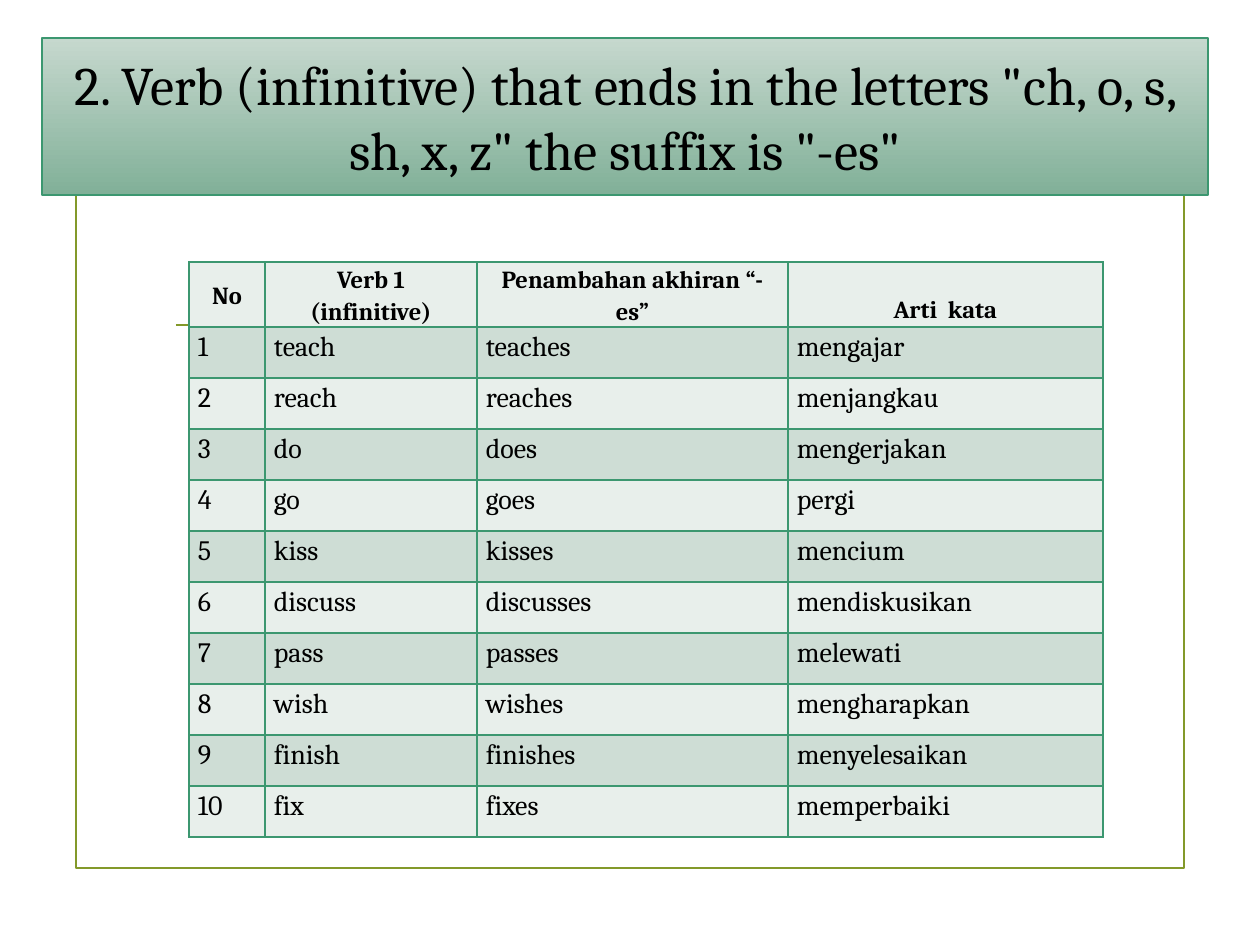
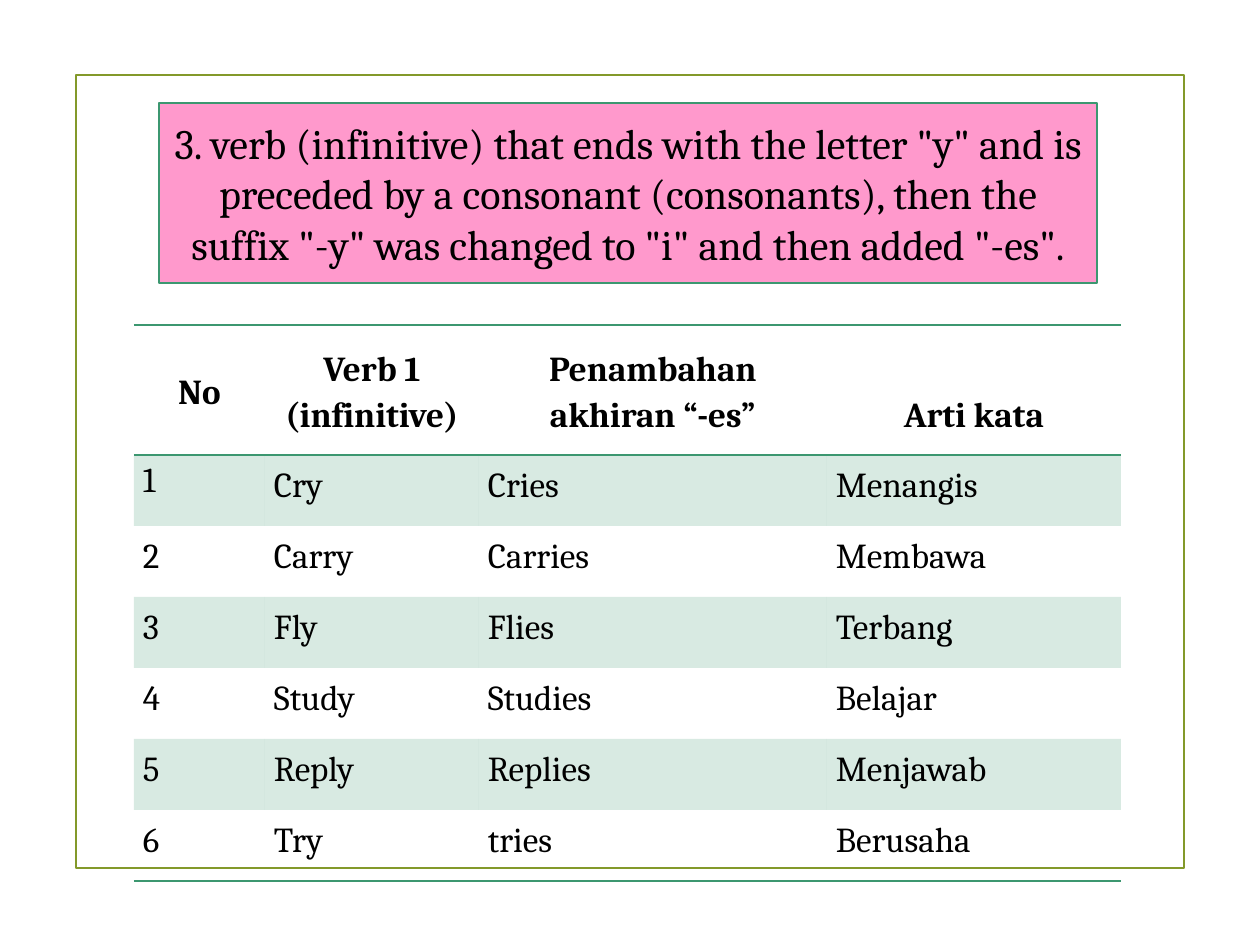
from lxml.etree import SubElement
from pptx import Presentation
from pptx.dml.color import RGBColor
from pptx.enum.shapes import MSO_CONNECTOR as CONN, MSO_SHAPE as SHAPE
from pptx.enum.text import MSO_ANCHOR as ANCHOR, PP_ALIGN as ALIGN
from pptx.oxml.ns import qn
from pptx.util import Pt

PX = 914400 // 126
FONT = "Cambria"
BLACK, OLIVE, GREEN, PINK = "000000", "83992A", "3C9770", "FF99CC"
TITLE_GRADIENT = ("C6D8CE", "81B098")
LIGHT_ROW, DARK_ROW = "E8EFEB", "CEDDD5"
PLAIN_TABLE_STYLE = "{2D5ABB26-0587-4C30-8999-92F81FD0307C}"
CELL_INSET = 9

ES_HEADER = ["No", "Verb 1 (infinitive)", "Penambahan akhiran “-es”", "Arti  kata"]
ES_VERBS = [
    ("teach", "teaches", "mengajar"),
    ("reach", "reaches", "menjangkau"),
    ("do", "does", "mengerjakan"),
    ("go", "goes", "pergi"),
    ("kiss", "kisses", "mencium"),
    ("discuss", "discusses", "mendiskusikan"),
    ("pass", "passes", "melewati"),
    ("wish", "wishes", "mengharapkan"),
    ("finish", "finishes", "menyelesaikan"),
    ("fix", "fixes", "memperbaiki"),
]
IES_HEADER = ["No", "Verb 1 (infinitive)", "Penambahan akhiran “-es”", "Arti kata"]
IES_VERBS = [
    ("Cry", "Cries", "Menangis"),
    ("Carry", "Carries", "Membawa"),
    ("Fly", "Flies", "Terbang"),
    ("Study", "Studies", "Belajar"),
    ("Reply", "Replies", "Menjawab"),
    ("Try", "tries", "Berusaha"),
]


def px(n):
    """Turn picture pixels into EMU."""
    return n * PX


def rgb(color):
    """Turn a hex string into a colour."""
    return RGBColor.from_string(color)


def add_text(tf, text, size, align=ALIGN.LEFT, bold=False, spacing=None):
    """Write one run into the first paragraph of a text frame."""
    p = tf.paragraphs[0]
    p.alignment = align
    p.line_spacing = spacing
    r = p.add_run()
    r.text = text
    r.font.name, r.font.size, r.font.bold = FONT, Pt(size), bold
    r.font.color.rgb = rgb(BLACK)


def add_box(slide, box, line, width):
    """Add an unfilled rectangle with an outline."""
    sp = slide.shapes.add_shape(SHAPE.RECTANGLE, *map(px, box))
    sp.shadow.inherit = False
    sp.fill.background()
    sp.line.color.rgb = rgb(line)
    sp.line.width = Pt(width)
    return sp


def add_slide(prs):
    """Add a blank slide with the shared frame and rule."""
    slide = prs.slides.add_slide(prs.slide_layouts[6])
    add_box(slide, (76, 75, 1108, 793), OLIVE, 1.25)
    rule = slide.shapes.add_connector(CONN.STRAIGHT, px(176), px(325), px(1085), px(325))
    rule.line.color.rgb = rgb(OLIVE)
    rule.line.width = Pt(1.25)
    SubElement(rule._element.spPr, qn("a:effectLst"))
    return slide


def add_title(slide, box, text, size):
    """Add a centred title box and return it for filling."""
    sp = add_box(slide, box, GREEN, 0.75)
    tf = sp.text_frame
    tf.word_wrap = True
    tf.vertical_anchor = ANCHOR.MIDDLE
    add_text(tf, text, size, ALIGN.CENTER)
    return sp


def fill_gradient(sp, colors):
    """Fill a shape from top to bottom with two colours."""
    sp.fill.gradient()
    sp.fill.gradient_angle = 270
    for stop, color, position in zip(sp.fill.gradient_stops, colors, (0, 1)):
        stop.color.rgb = rgb(color)
        stop.position = position


def add_table(slide, left, top, col_widths, row_heights):
    """Add an unstyled table with the given grid."""
    frame = slide.shapes.add_table(len(row_heights), len(col_widths), px(left), px(top),
                                   px(sum(col_widths)), px(sum(row_heights)))
    table = frame.table
    table.first_row = table.horz_banding = False
    table._tbl.tblPr.find(qn("a:tableStyleId")).text = PLAIN_TABLE_STYLE
    for col, width in zip(table.columns, col_widths):
        col.width = px(width)
    for row, height in zip(table.rows, row_heights):
        row.height = px(height)
    return table


def set_borders(cell, sides):
    """Draw green borders on the named sides, in the order L, R, T, B."""
    for side in sides:
        ln = SubElement(cell._tc.get_or_add_tcPr(), qn("a:ln" + side), w=str(Pt(1)))
        SubElement(SubElement(ln, qn("a:solidFill")), qn("a:srgbClr"), val=GREEN)


def fill_cell(cell, color, alpha=None):
    """Fill a cell, optionally with an opacity in percent."""
    if color is None:
        cell.fill.background()
        return
    cell.fill.solid()
    cell.fill.fore_color.rgb = rgb(color)
    if alpha:
        clr = cell._tc.tcPr.find(qn("a:solidFill")).find(qn("a:srgbClr"))
        SubElement(clr, qn("a:alpha"), val=str(alpha * 1000))


def set_cell(cell, text, size, header=False, drop=0, spacing=1.15):
    """Write a cell; drop lowers its text by that many pixels."""
    cell.margin_left = cell.margin_right = px(CELL_INSET)
    cell.margin_top, cell.margin_bottom = px(drop), 0
    cell.vertical_anchor = ANCHOR.MIDDLE if header else ANCHOR.TOP
    align = ALIGN.CENTER if header else ALIGN.LEFT
    add_text(cell.text_frame, text, size, align, header, spacing)


def set_header(table, labels, size, last_drop):
    """Write the header row, whose last label sits lower."""
    for c, label in enumerate(labels):
        drop = last_drop if c == len(labels) - 1 else 0
        set_cell(table.cell(0, c), label, size, header=True, drop=drop)


def numbered(verbs):
    """Yield row, column and text of a table body numbered from 1."""
    for n, verb in enumerate(verbs, 1):
        for c, text in enumerate((str(n), *verb)):
            yield n, c, text


def add_es_slide(prs):
    """Build the slide on verbs that take -es."""
    slide = add_slide(prs)
    title = add_title(slide, (42, 38, 1166, 157),
                      '2. Verb (infinitive) that ends in the letters "ch, o, s, sh, x, z" '
                      'the suffix is "-es"', 31)
    fill_gradient(title, TITLE_GRADIENT)
    table = add_table(slide, 189, 262, [76, 212, 311, 315], [64] + [51] * len(ES_VERBS))
    set_header(table, ES_HEADER, 14, 28)
    for r, c, text in numbered(ES_VERBS):
        set_cell(table.cell(r, c), text, 16)
    for r, row in enumerate(table.rows):
        for cell in row.cells:
            set_borders(cell, "LRTB")
            fill_cell(cell, DARK_ROW if r % 2 else LIGHT_ROW)


def add_ies_slide(prs):
    """Build the slide on verbs whose y turns into ies."""
    slide = add_slide(prs)
    title = add_title(slide, (159, 103, 938, 180),
                      '3. verb (infinitive) that ends with the letter "y" and is preceded by a '
                      'consonant (consonants), then the suffix "-y" was changed to "i" and then '
                      'added "-es".', 24)
    title.fill.solid()
    title.fill.fore_color.rgb = rgb(PINK)
    table = add_table(slide, 134, 325, [131, 214, 348, 294], [130] + [71] * len(IES_VERBS))
    set_header(table, IES_HEADER, 20, 46)
    for r, c, text in numbered(IES_VERBS):
        if (r, c) == (1, 0):
            set_cell(table.cell(r, c), text, 20)
        else:
            set_cell(table.cell(r, c), text, 20, drop=26, spacing=Pt(14.8))
    borders = {0: "TB", len(IES_VERBS): "B"}
    for r, row in enumerate(table.rows):
        for cell in row.cells:
            set_borders(cell, borders.get(r, ""))
            fill_cell(cell, GREEN if r % 2 else None, alpha=20)


def main():
    """Build and save the presentation."""
    prs = Presentation()
    prs.slide_width, prs.slide_height = px(1260), px(945)
    add_es_slide(prs)
    add_ies_slide(prs)
    prs.save("out.pptx")


main()
